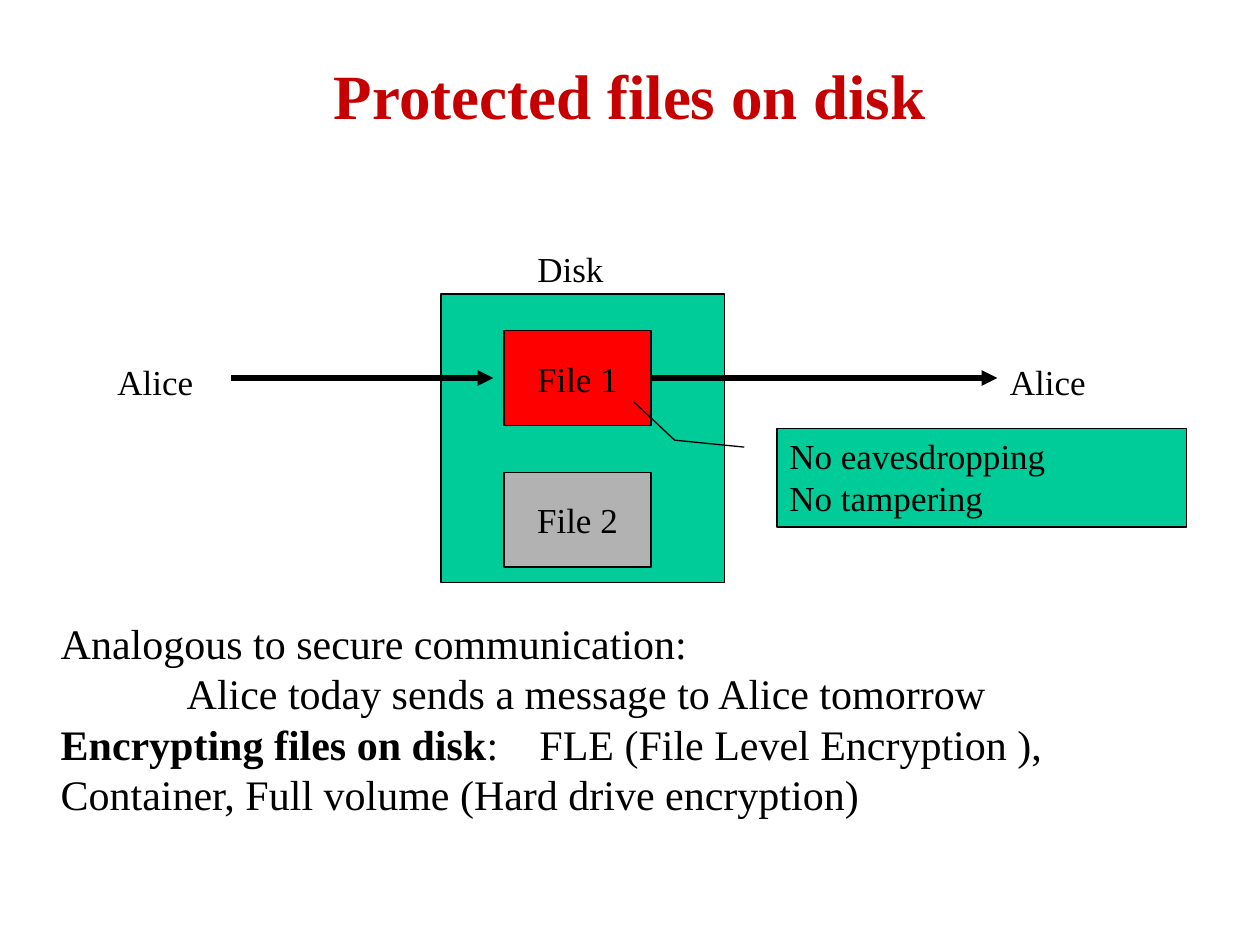
from dataclasses import dataclass

import pptx
import pptx.dml.color
import pptx.enum.shapes
import pptx.enum.text
import pptx.oxml.ns
import pptx.util
from lxml import etree

SHAPE = pptx.enum.shapes.MSO_SHAPE
ALIGN = pptx.enum.text.PP_ALIGN
ANCHOR = pptx.enum.text.MSO_ANCHOR
Pt = pptx.util.Pt
qn = pptx.oxml.ns.qn


@dataclass(frozen=True)
class Theme:
    font: str = "Times New Roman"
    title_size: int = 36
    label_size: int = 20
    body_size: int = 24
    title: str = "C60000"
    ink: str = "000000"
    panel: str = "00CC99"
    protected: str = "FF0000"
    plain: str = "B2B2B2"
    outline: float = 0.75
    arrow: float = 3


@dataclass(frozen=True)
class Frame:
    """A place on a grid of 120 columns by 90 rows."""
    col: float
    row: float
    cols: float
    rows: float

    def lengths(self) -> tuple:
        return tuple(grid(n) for n in (self.col, self.row, self.cols, self.rows))


@dataclass(frozen=True)
class File:
    name: str
    color: str


THEME = Theme()
FILES = [File("File 1", THEME.protected), File("File 2", THEME.plain)]
FILE_TOP, FILE_STEP = 31.5, 13.5
ARROW_ROW = 36


def grid(units: float) -> pptx.util.Length:
    return pptx.util.Inches(units / 12)


def rgb(color: str) -> pptx.dml.color.RGBColor:
    return pptx.dml.color.RGBColor.from_string(color)


def style(paragraph, size: int, color: str = THEME.ink) -> None:
    font = paragraph.font
    font.name, font.size = THEME.font, Pt(size)
    font.color.rgb = rgb(color)


def add_label(slide, frame: Frame, text: str) -> None:
    label = slide.shapes.add_textbox(*frame.lengths()).text_frame
    label.word_wrap = True
    label.text = text
    style(label.paragraphs[0], THEME.label_size)


def add_panel(slide, frame: Frame, color: str, lines: tuple = (),
              kind=SHAPE.RECTANGLE, align=ALIGN.CENTER, anchor=ANCHOR.MIDDLE):
    panel = slide.shapes.add_shape(kind, *frame.lengths())
    panel.shadow.inherit = False
    panel.fill.solid()
    panel.fill.fore_color.rgb = rgb(color)
    panel.line.color.rgb = rgb(THEME.ink)
    panel.line.width = Pt(THEME.outline)
    panel.text_frame.vertical_anchor = anchor
    if lines:
        panel.text_frame.text = "\n".join(lines)
        for paragraph in panel.text_frame.paragraphs:
            paragraph.alignment = align
            style(paragraph, THEME.label_size)
    return panel


def add_arrow(slide, start: float, end: float):
    arrow = slide.shapes.add_connector(
        pptx.enum.shapes.MSO_CONNECTOR.STRAIGHT,
        grid(start), grid(ARROW_ROW), grid(end), grid(ARROW_ROW))
    arrow.line.color.rgb = rgb(THEME.ink)
    arrow.line.width = Pt(THEME.arrow)
    etree.SubElement(arrow.line._get_or_add_ln(), qn("a:tailEnd"), type="triangle")
    etree.SubElement(arrow._element.spPr, qn("a:effectLst"))
    return arrow


def add_title(slide, frame: Frame, text: str) -> None:
    title = slide.shapes.title
    title.left, title.top, title.width, title.height = frame.lengths()
    title.text_frame.text = text
    title.text_frame.vertical_anchor = ANCHOR.MIDDLE
    heading = title.text_frame.paragraphs[0]
    heading.alignment = ALIGN.CENTER
    style(heading, THEME.title_size, THEME.title)
    heading.font.bold = True


def add_explanation(slide, frame: Frame) -> None:
    body = slide.shapes.add_textbox(*frame.lengths()).text_frame
    body.word_wrap = True
    body.text = "Analogous to secure communication:"
    analogy = body.add_paragraph()
    analogy.text = "Alice today sends a message to Alice tomorrow"
    analogy._p.get_or_add_pPr().set("marL", str(grid(12)))

    # A tab stop sets the systems apart from their heading
    systems = body.add_paragraph()
    tabs = etree.SubElement(systems._p.get_or_add_pPr(), qn("a:tabLst"))
    etree.SubElement(tabs, qn("a:tab"), pos=str(grid(45.6)), algn="l")
    heading = systems.add_run()
    heading.text = "Encrypting files on disk"
    heading.font.bold = True
    systems.add_run().text = (":\tFLE (File Level Encryption ), "
                              "Container, Full volume (Hard drive encryption)")
    for paragraph in body.paragraphs:
        style(paragraph, THEME.body_size)


def main() -> None:
    deck = pptx.Presentation()
    deck.slide_width, deck.slide_height = grid(120), grid(90)
    slide = deck.slides.add_slide(deck.slide_layouts[5])
    add_title(slide, Frame(9, 4, 102, 10), "Protected files on disk")

    # Disk with its files
    add_panel(slide, Frame(42, 28, 27, 27.5), THEME.panel)
    add_label(slide, Frame(50, 23, 10.3, 5.25), "Disk")
    file_panels = [
        add_panel(slide, Frame(48, FILE_TOP + i * FILE_STEP, 14, 9),
                  file.color, (file.name,))
        for i, file in enumerate(FILES)
    ]

    # Alice writes the protected file and reads it later
    add_arrow(slide, 22, 47)
    add_arrow(slide, 62, 95).begin_connect(file_panels[0], 3)
    for col in (10, 95):
        add_label(slide, Frame(col, 33.75, 11.2, 5.25), "Alice")

    # Guarantees, pointing at the protected file
    guarantees = add_panel(slide, Frame(74, 40.8, 39, 9.4), THEME.panel,
                           ("No eavesdropping", "No tampering"),
                           SHAPE.LINE_CALLOUT_2, ALIGN.LEFT, ANCHOR.TOP)
    for i, share in enumerate((0.19, -0.08, 0.12, -0.25, -0.27, -0.35)):
        guarantees.adjustments[i] = share

    add_explanation(slide, Frame(4.6, 58.2, 111.4, 25.2))
    deck.save("out.pptx")


if __name__ == "__main__":
    main()
